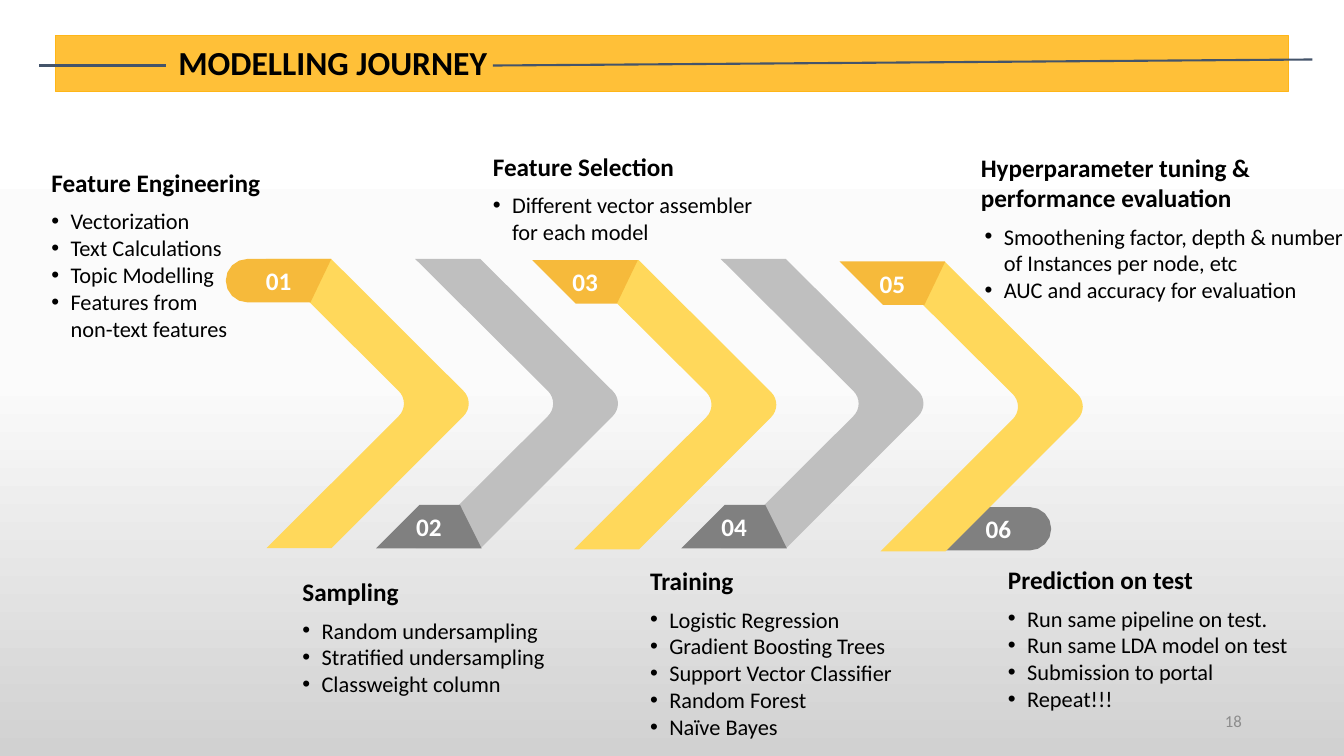
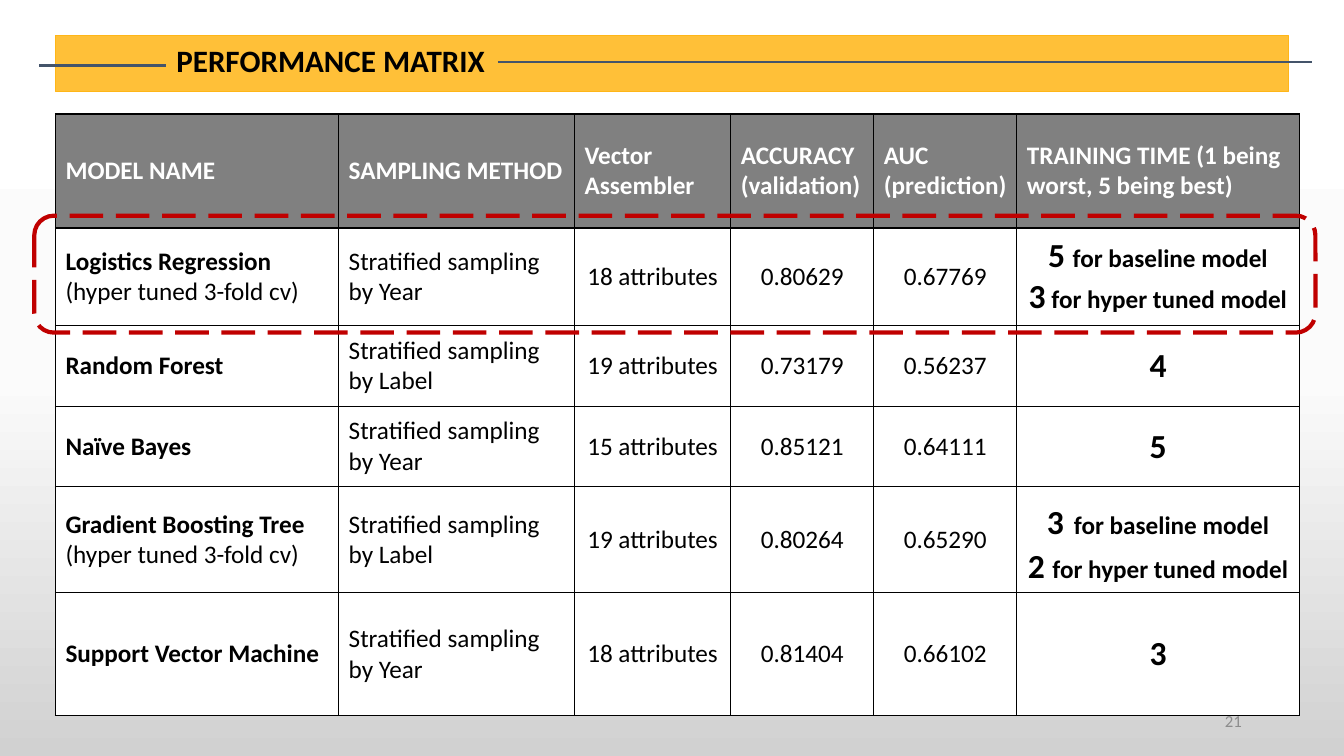
"""Build the modelling journey and performance matrix slides."""
import copy
import math
from lxml import etree
from pptx import Presentation
from pptx import util as u
from pptx.dml import color as dml_color
from pptx.enum import dml, shapes, text
from pptx.oxml import ns

FONT = "Calibri"
BLACK, WHITE, DARK_GRAY, LIGHT_GRAY = "000000", "FFFFFF", "808080", "BFBFBF"
BAND, RULE, YELLOW, ORANGE = "FFB618", "44546A", "FFD85B", "F6BA3B"
RED, PAGE_GRAY = "C00000", "8C8C8C"
BACKGROUND = ((0, "FFFFFF"), (0.5, "FBFBFB"), (1, "D1D1D1"))
LEFT, CENTER, RIGHT = text.PP_ALIGN.LEFT, text.PP_ALIGN.CENTER, text.PP_ALIGN.RIGHT
TOP, MIDDLE, BOTTOM = text.MSO_ANCHOR.TOP, text.MSO_ANCHOR.MIDDLE, text.MSO_ANCHOR.BOTTOM
rgb = dml_color.RGBColor.from_string


def apply(target, values):
    """Set each named attribute of the target."""
    for name, value in values.items():
        setattr(target, name, value)


def write(frame, lines, size=18, bold=False, color=BLACK, alignment=LEFT, bullet=False):
    """Fill a text frame; a line is a string or a list of (text, size, bold) runs."""
    for index, line in enumerate(lines):
        paragraph = frame.add_paragraph() if index else frame.paragraphs[0]
        paragraph.alignment = alignment
        if bullet:
            properties = paragraph._p.get_or_add_pPr()
            properties.set("marL", str(u.Pt(13.7)))
            properties.set("indent", str(-u.Pt(13.7)))
            etree.SubElement(properties, ns.qn("a:buFont"), typeface="Arial")
            etree.SubElement(properties, ns.qn("a:buChar"), char="•")
        runs = [(line, size, bold)] if isinstance(line, str) else line
        for words, run_size, run_bold in runs:
            run = paragraph.add_run()
            run.text = words
            apply(run.font, {"name": FONT, "size": u.Pt(run_size), "bold": run_bold})
            run.font.color.rgb = rgb(color)


presentation = Presentation()
apply(presentation, {"slide_width": u.Pt(960), "slide_height": u.Pt(540)})

background = presentation.slide_master.background.fill
background.gradient()
background.gradient_angle = 270
stop_list = presentation.slide_master.element.find(".//" + ns.qn("a:gsLst"))
stop_list.append(copy.deepcopy(stop_list[-1]))
for stop, (position, color) in zip(background.gradient_stops, BACKGROUND):
    stop.position = position
    stop.color.rgb = rgb(color)

headers = [
    ("MODELLING JOURNEY", 24, (120.2, 29.5, 238.3, 37.4), (352, 46.8, 937.4, 42.5), "18"),
    ("PERFORMANCE MATRIX", 22.2, (118.8, 28.8, 236.9, 37.4), (355.7, 44.6, 937.4, 44.6), "21"),
]
slides = []
for words, size, title_box, long_rule, page_number in headers:
    slide = presentation.slides.add_slide(presentation.slide_layouts[5])
    slides.append(slide)
    title = slide.shapes.title
    apply(title, dict(zip(("left", "top", "width", "height"), map(u.Pt, title_box))))
    apply(title.text_frame, {"word_wrap": False, "vertical_anchor": TOP,
                             "auto_size": text.MSO_AUTO_SIZE.NONE})
    write(title.text_frame, [words], size, True)
    title.text_frame.paragraphs[0].line_spacing = 0.9

    band = slide.shapes.add_shape(
        shapes.MSO_SHAPE.RECTANGLE, u.Pt(39.6), u.Pt(25.2), u.Pt(880.6), u.Pt(40.3))
    band.shadow.inherit = False
    band.fill.solid()
    band.fill.fore_color.rgb = rgb(BAND)
    band.line.color.rgb = rgb(BAND)
    band.line.width = u.Pt(0.75)
    fill_color = band.element.spPr.find(".//" + ns.qn("a:srgbClr"))
    etree.SubElement(fill_color, ns.qn("a:alpha"), val="86000")
    title.element.addprevious(band.element)

    for ends in ((28.1, 46.8, 118.8, 46.8), long_rule):
        rule = slide.shapes.add_connector(shapes.MSO_CONNECTOR.STRAIGHT, *map(u.Pt, ends))
        rule.line.color.rgb = rgb(RULE)
        rule.line.width = u.Pt(1.5)
        etree.SubElement(rule.element.spPr, ns.qn("a:effectLst"))
journey, matrix = slides

steps = [step / 8 for step in range(9)]
bend = [(15 * t * (1 - t), 94.3 + 15 * t * (1 - t) ** 2 + 39 * t ** 2 * (1 - t) + 18 * t ** 3)
        for t in steps]
chevron = ([(0, 0), (46.6, 0)] + [(141.1 + x, y) for x, y in bend]
           + [(46.8, 206.6), (0.4, 206.6)] + [(94.8 + x, y) for x, y in reversed(bend)])
half_circle = [(15.5 * math.sin(math.pi * t), 15.5 - 15.5 * math.cos(math.pi * t)) for t in steps]
tags = {
    "round left": [(75.4, 0), (60.5, 31)] + [(15.5 - x, y) for x, y in reversed(half_circle)],
    "upper": [(31, 31), (0, 0), (75.4, 0), (60.5, 31)],
    "lower": [(0, 31), (31, 0), (60, 0), (75.4, 31)],
    "round right": [(0, 31), (31, 0)] + [(60 + x, y) for x, y in half_circle],
}

stages = [
    ("02", (296.6, 185), (268.6, 360.7), "lower",
     "Sampling", (216, 165), (216, 437, 186.5, 65.5),
     ["Random undersampling", "Stratified undersampling", "Classweight column"]),
    ("04", (514.8, 185), (486.7, 360.7), "lower",
     "Training", (464.4, 206), (464.4, 429.1, 208.8, 104.4),
     ["Logistic Regression", "Gradient Boosting Trees", "Support Vector Classifier",
      "Random Forest", "Naïve Bayes"]),
    ("06", None, (675.4, 362.2), "round right",
     "Prediction on test", (720, 182), (720, 428.4, 219.6, 85),
     ["Run same pipeline on test.", "Run same LDA model on test",
      "Submission to portal", "Repeat!!!"]),
    ("01", (190, 185), (161.3, 185), "round left",
     "Feature Engineering", (36.7, 175.7), (36.7, 144.7, 130.3, 104.4),
     ["Vectorization", "Text Calculations", "Topic Modelling",
      "Features from non-text features"]),
    ("03", (409.7, 185.8), (380.2, 185.8), "upper",
     "Feature Selection", (352.1, 150), (352.1, 133.2, 203.8, 46),
     ["Different vector assembler for each model"]),
    ("05", (628.6, 187.2), (599.8, 186.8), "upper",
     "Hyperparameter tuning & performance evaluation", (700.6, 252), (703.4, 155.5, 256.6, 80),
     ["Smoothening factor, depth & number of Instances per node, etc",
      "AUC and accuracy for evaluation"]),
]
for number, chevron_at, tag_at, tag, heading, heading_place, body_box, bullets in stages:
    gray = int(number) % 2 == 0
    outlines = [(chevron, chevron_at, LIGHT_GRAY if gray else YELLOW),
                (tags[tag], tag_at, DARK_GRAY if gray else ORANGE)]
    for outline, origin, color in outlines:
        if origin is None:
            continue
        points = [(u.Pt(origin[0] + x), u.Pt(origin[1] + y)) for x, y in outline]
        builder = journey.shapes.build_freeform(*points[0])
        shape = builder.add_line_segments(points[1:], close=True).convert_to_shape()
        shape.shadow.inherit = False
        shape.fill.solid()
        shape.fill.fore_color.rgb = rgb(color)
        shape.line.fill.background()
    margins = dict.fromkeys(("margin_left", "margin_top", "margin_right", "margin_bottom"), u.Pt(2))
    apply(shape.text_frame, {**margins, "vertical_anchor": MIDDLE})
    write(shape.text_frame, [number], 18, True, WHITE, CENTER)

    heading_left, heading_width = heading_place
    heading_box = (heading_left, body_box[1] - 51, heading_width, 51)
    for box, anchor, lines, style in (
            (heading_box, BOTTOM, [heading], {"bold": True}),
            (body_box, TOP, bullets, {"size": 16, "bullet": True})):
        frame = journey.shapes.add_textbox(*map(u.Pt, box)).text_frame
        apply(frame, {"word_wrap": True, "vertical_anchor": anchor,
                      "margin_left": 0, "margin_right": 0})
        write(frame, lines, **style)

columns = [202.3, 168.5, 111.6, 102.2, 102.2, 201.6]
heights = [81.4, 69.8, 57.6, 57.6, 75.6, 87.8]
tuned = [("(hyper tuned 3-fold cv)", 18, False)]
baseline, hyper = ("for baseline model", 18, True), ("for hyper tuned model", 18, True)
rows = [
    ["MODEL NAME", "SAMPLING METHOD", "Vector Assembler", "ACCURACY (validation)",
     "AUC (prediction)", "TRAINING TIME (1 being worst, 5 being best)"],
    [["Logistics Regression", tuned], "Stratified sampling by Year", "18 attributes",
     "0.80629", "0.67769",
     [[("5 ", 24, True), baseline], [("3", 24, True), (" for hyper tuned model", 18, True)]]],
    ["Random Forest", "Stratified sampling by Label", "19 attributes", "0.73179", "0.56237", "4"],
    ["Naïve Bayes", "Stratified sampling by Year", "15 attributes", "0.85121", "0.64111", "5"],
    [["Gradient Boosting Tree", tuned], "Stratified sampling by Label", "19 attributes",
     "0.80264", "0.65290",
     [[("3", 24, True), (" ", 32, True), baseline], [("2 ", 24, True), hyper]]],
    ["Support Vector Machine", "Stratified sampling by Year", "18 attributes",
     "0.81404", "0.66102", "3"],
]
table = matrix.shapes.add_table(
    len(rows), len(columns), u.Pt(39.6), u.Pt(81.4), u.Pt(sum(columns)), u.Pt(sum(heights))).table
apply(table, {"first_row": False, "horz_banding": False})
for column, width in zip(table.columns, columns):
    column.width = u.Pt(width)
for row_index, (values, height) in enumerate(zip(rows, heights)):
    table.rows[row_index].height = u.Pt(height)
    header = row_index == 0
    for column_index, value in enumerate(values):
        cell = table.cell(row_index, column_index)
        cell.vertical_anchor = MIDDLE
        for side in ("a:lnL", "a:lnR", "a:lnT", "a:lnB"):
            border = etree.SubElement(
                cell._tc.get_or_add_tcPr(), ns.qn(side), w=str(u.Pt(1)))
            border_fill = etree.SubElement(border, ns.qn("a:solidFill"))
            etree.SubElement(border_fill, ns.qn("a:srgbClr"), val=BLACK)
        cell.fill.solid()
        cell.fill.fore_color.rgb = rgb(DARK_GRAY if header else WHITE)
        last = column_index == len(columns) - 1
        write(cell.text_frame, [value] if isinstance(value, str) else value,
              size=24 if last and not header else 18,
              bold=header or last or column_index == 0,
              color=WHITE if header else BLACK,
              alignment=CENTER if column_index > 1 and not header else LEFT)

highlight = matrix.shapes.add_shape(
    shapes.MSO_SHAPE.ROUNDED_RECTANGLE, u.Pt(24.5), u.Pt(154.1), u.Pt(915.1), u.Pt(83.5))
highlight.shadow.inherit = False
highlight.fill.background()
highlight.line.color.rgb = rgb(RED)
apply(highlight.line, {"width": u.Pt(3), "dash_style": dml.MSO_LINE.LONG_DASH})

for slide, header in zip(slides, headers):
    frame = slide.shapes.add_textbox(u.Pt(678.2), u.Pt(500.4), u.Pt(216), u.Pt(28.8)).text_frame
    apply(frame, {"word_wrap": True, "vertical_anchor": MIDDLE})
    write(frame, [header[-1]], 12, color=PAGE_GRAY, alignment=RIGHT)

presentation.save("out.pptx")
